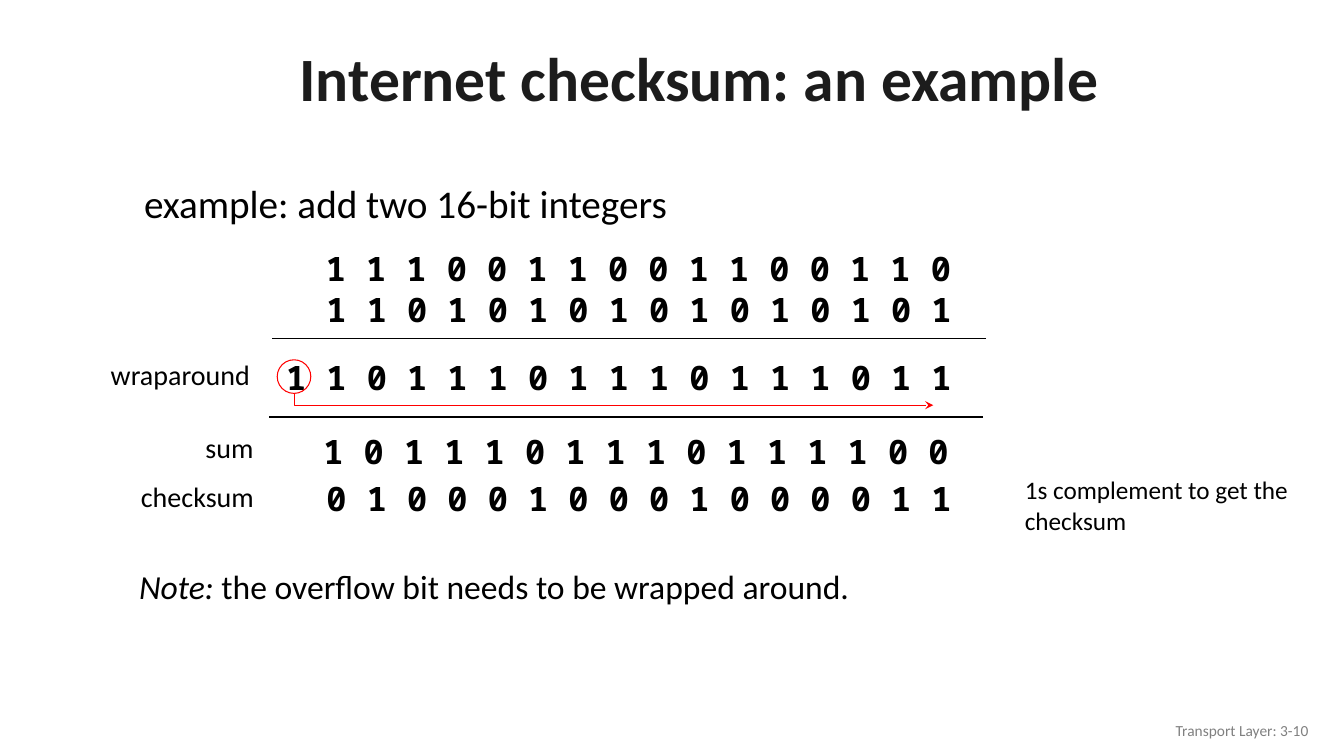
"""Build the slide that works through an Internet checksum example."""
from lxml import etree
from pptx import Presentation
from pptx.dml.color import RGBColor
from pptx.enum.shapes import MSO_CONNECTOR as Connector, MSO_SHAPE as Shape
from pptx.enum.text import MSO_ANCHOR as Anchor, PP_ALIGN as Align
from pptx.oxml.ns import qn
from pptx.util import Pt

COLORS = {"title": "1C1C1C", "text": "000000", "wrap": "FF0000", "footer": "808080"}
SANS, MONO = "Calibri", "Noto Sans Mono"

TEXTS = [
    {"runs": ["Internet checksum: an example"], "box": (62.6, 23, 874, 70.6), "size": 44,
     "color": "title", "bold": True, "anchor": Anchor.MIDDLE,
     "format": {"alignment": Align.CENTER, "line_spacing": 0.9}},
    {"runs": ["example: add two 16-bit integers"], "box": (95.8, 114.5, 612, 216), "size": 28,
     "format": {"line_spacing": 1.3, "space_before": Pt(10)}},
    {"runs": ["Note: ", "the overflow bit needs to be wrapped around."],
     "box": (92.2, 405.4, 574, 31.7), "size": 24, "italic_first": True,
     "format": {"line_spacing": 0.85, "space_before": Pt(4.8)}},
    {"runs": ["1s complement to get the checksum"], "box": (725, 335.5, 213, 51), "size": 18},
    {"runs": ["Transport Layer: 3-10"], "box": (725.8, 507.6, 216, 28.8), "size": 11,
     "color": "footer", "anchor": Anchor.MIDDLE, "format": {"alignment": Align.RIGHT}},
]
LABELS = [("wraparound", 72, 252, 114.5), ("sum", 139.7, 303.8, 50.4),
          ("checksum", 93.6, 338.6, 96.5)]
BIT_ROWS = [
    ("1110011001100110", 690, 173.5),
    ("1101010101010101", 690.5, 203),
    ("11011101110111011", 690.5, 251.3),
    ("1011101110111100", 688.3, 304.6),
    ("0100010001000011", 690.5, 337.7),
]
BIT_SIZE, BIT_STEP, BIT_HEIGHT = 24, 28.8, 36
RULES = [(194.4, 242), (192.2, 298)]
RULE_LENGTH = 510
CIRCLE = (198, 257, 24, 24)
WRAP_ARROW = [(210.2, 281.5), (210.2, 289.4), (666.7, 289.4)]

presentation = Presentation()
presentation.slide_width, presentation.slide_height = Pt(960), Pt(540)
slide = presentation.slides.add_slide(presentation.slide_layouts[6])


def rgb(name):
    return RGBColor.from_string(COLORS[name])


def add_text(runs, box, size, font=SANS, color="text", bold=False, italic_first=False,
             anchor=Anchor.TOP, wrap=True, format=None):
    frame = slide.shapes.add_textbox(*map(Pt, box)).text_frame
    frame.word_wrap, frame.vertical_anchor = wrap, anchor
    paragraph = frame.paragraphs[0]
    for name, value in (format or {}).items():
        setattr(paragraph, name, value)
    for index, text in enumerate(runs):
        run = paragraph.add_run()
        run.text = text
        style = {"name": font, "size": Pt(size), "bold": bold,
                 "italic": italic_first and index == 0}
        for name, value in style.items():
            setattr(run.font, name, value)
        run.font.color.rgb = rgb(color)


def set_line(shape, color, width):
    shape.line.color.rgb = rgb(color)
    shape.line.width = Pt(width)


for text in TEXTS:
    add_text(**text)

for label, left, top, width in LABELS:
    add_text([label], (left, top, width, 31.5), 20, wrap=False)

for bits, right, top in BIT_ROWS:
    width = len(bits) * BIT_STEP + 3.6
    add_text([" ".join(bits)], (right - width, top, width, BIT_HEIGHT), BIT_SIZE,
             font=MONO, bold=True, wrap=False)

for left, top in RULES:
    rule = slide.shapes.add_connector(
        Connector.STRAIGHT, *map(Pt, (left + RULE_LENGTH, top, left, top)))
    set_line(rule, "text", 1)
    etree.SubElement(rule.element.spPr, qn("a:effectLst"))

circle = slide.shapes.add_shape(Shape.OVAL, *map(Pt, CIRCLE))
start, *corners = [tuple(map(Pt, point)) for point in WRAP_ARROW]
builder = slide.shapes.build_freeform(*start)
builder.add_line_segments(corners, close=False)
arrow = builder.convert_to_shape()
for shape in (circle, arrow):
    shape.shadow.inherit = False
    shape.fill.background()
    set_line(shape, "wrap", 0.75)
etree.SubElement(arrow.line._get_or_add_ln(), qn("a:tailEnd"), type="stealth")

presentation.save("out.pptx")
